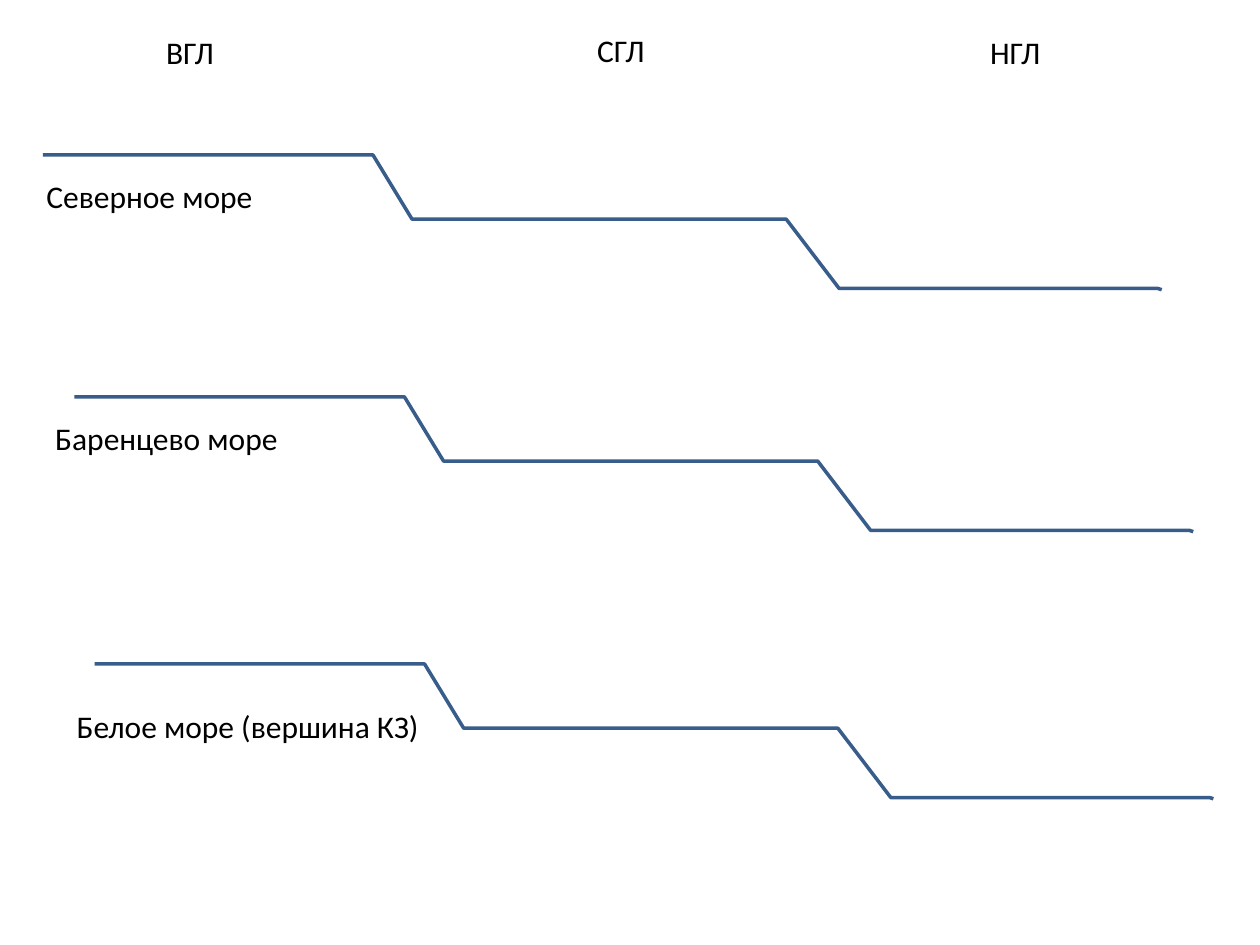
import pptx
import pptx.dml.color
import pptx.enum.text
import pptx.util

COLUMNS, ROWS = 1000, 750
COLORS = {"profile": "385D8A", "text": "000000"}
FONT = "Calibri"
LABEL_HEIGHT = 40
PROFILE_WIDTH, PROFILE_HEIGHT = 888, 107
PROFILE_STEPS = [(0, 0), (262, 0), (293, 51), (590, 51), (632, 106), (885, 106), (888, 107)]

HEADINGS = [("ВГЛ", 122, 21), ("СГЛ", 464, 20), ("НГЛ", 776, 21)]
HEADING_WIDTH = 79
SEAS = [
    ("Северное море", (34, 123), (-7, 13, 207)),
    ("Баренцево море", (59, 315), (-25, 13, 206)),
    ("Белое море (вершина КЗ)", (75, 527), (-24, 29, 323)),
]

deck = pptx.Presentation()
deck.slide_width = pptx.util.Inches(10)
deck.slide_height = pptx.util.Inches(7.5)
CELL = deck.slide_width // COLUMNS


def color(name):
    return pptx.dml.color.RGBColor.from_string(COLORS[name])


def add_label(page, text, left, top, width):
    box = page.shapes.add_textbox(left * CELL, top * CELL, width * CELL, LABEL_HEIGHT * CELL)
    frame = box.text_frame
    frame.word_wrap = True
    frame.auto_size = pptx.enum.text.MSO_AUTO_SIZE.SHAPE_TO_FIT_TEXT
    para = frame.paragraphs[0]
    para.text = text
    para.font.name = FONT
    para.font.size = pptx.util.Pt(18)
    para.font.color.rgb = color("text")


def add_profile(page, left, top, width, height):
    scale = (CELL * width / PROFILE_WIDTH, CELL * height / PROFILE_HEIGHT)
    builder = page.shapes.build_freeform(*PROFILE_STEPS[0], scale=scale)
    builder.add_line_segments(PROFILE_STEPS[1:], close=False)
    profile = builder.convert_to_shape(left * CELL, top * CELL)
    profile.shadow.inherit = False
    profile.fill.background()
    profile.line.color.rgb = color("profile")
    profile.line.width = pptx.util.Pt(2)


def add_headings(page):
    for text, left, top in HEADINGS:
        add_label(page, text, left, top, HEADING_WIDTH)


def add_sea(page, name, corner, label):
    left, top = corner
    shift, drop, width = label
    add_profile(page, left, top, PROFILE_WIDTH, PROFILE_HEIGHT)
    add_label(page, name, left + shift, top + drop, width)


def main():
    page = deck.slides.add_slide(deck.slide_layouts[6])
    add_headings(page)
    for sea in SEAS:
        add_sea(page, *sea)
    deck.save("out.pptx")


if __name__ == "__main__":
    main()
